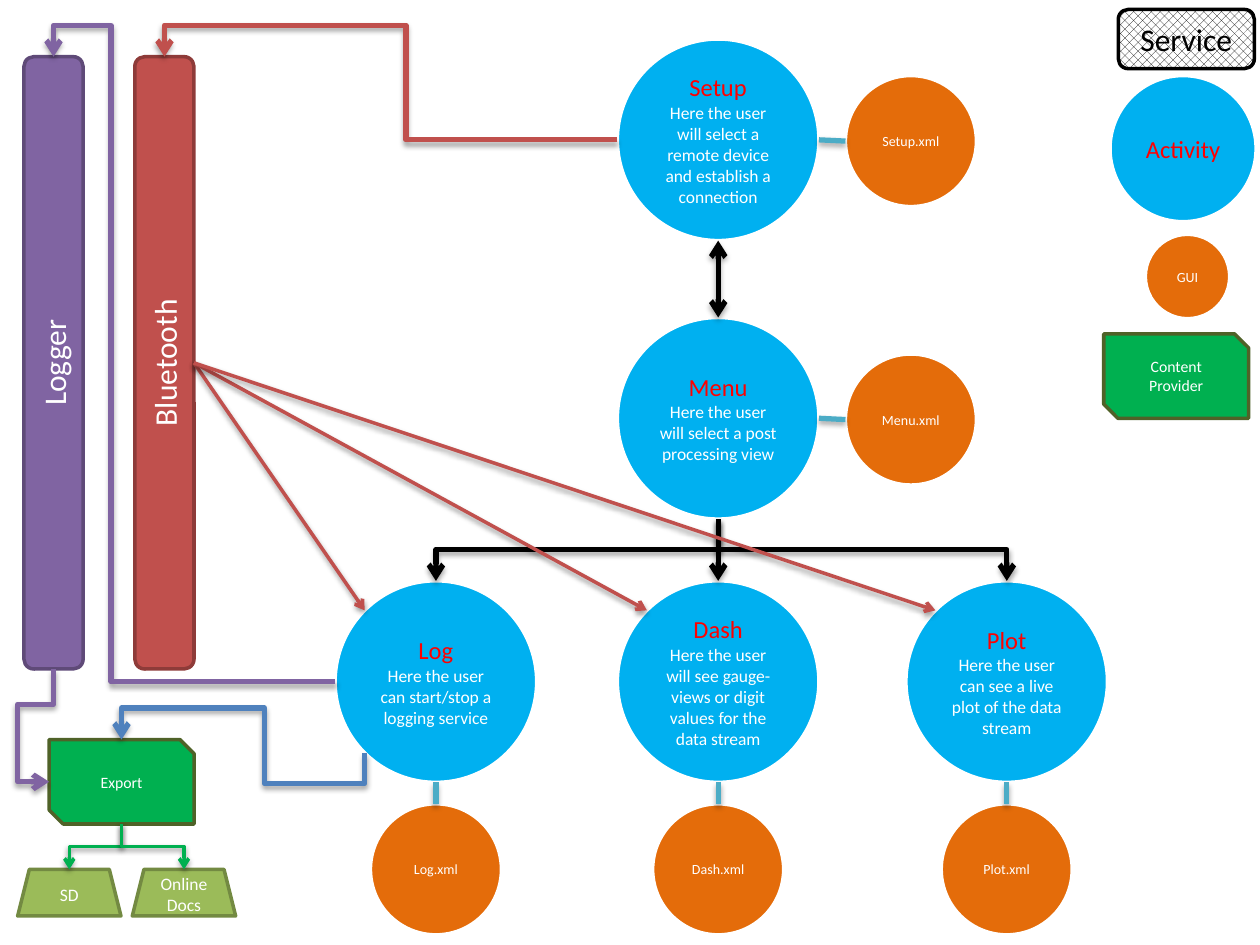
from lxml.etree import SubElement
from pptx import Presentation
from pptx.dml.color import RGBColor
from pptx.enum.dml import MSO_PATTERN
from pptx.enum.shapes import MSO_CONNECTOR as LINK, MSO_SHAPE as SHAPE
from pptx.enum.text import MSO_ANCHOR, PP_ALIGN
from pptx.oxml.ns import qn
from pptx.util import Inches, Pt

# Formats: shape kind, fill, outline, then (size, colour) of each paragraph
SMALL_WHITE, HEADING = (10, "FFFFFF"), (14, "FF0000")
STYLES = {
    "activity": (SHAPE.OVAL, "00B0F0", "FFFFFF", (HEADING, SMALL_WHITE)),
    "gui": (SHAPE.OVAL, "E46C0A", "FFFFFF", ((8, "FFFFFF"),)),
    "bluetooth": (SHAPE.ROUNDED_RECTANGLE, "C0504D", "8E3B39", ((18, "FFFFFF"),)),
    "logger": (SHAPE.ROUNDED_RECTANGLE, "8064A2", "5F4A78", ((18, "FFFFFF"),)),
    "service": (SHAPE.ROUNDED_RECTANGLE, None, "000000", ((18, "000000"),)),
    "provider": (SHAPE.SNIP_2_DIAG_RECTANGLE, "00B050", "4F6228", ((9, "FFFFFF"),)),
    "target": (SHAPE.TRAPEZOID, "9BBB59", "738A42", (SMALL_WHITE,)),
}

# Activities: name, left, top, description, side of the GUI circle
ACTIVITY_SIZE, GUI_SIZE = 1.6, 1.04
ACTIVITIES = [
    ("Setup", 4.9, 0.31, "Here the user will select a remote device and establish a connection", "right"),
    ("Menu", 4.9, 2.52, "Here the user will select a post processing view", "right"),
    ("Log", 2.66, 4.61, "Here the user can start/stop a logging service", "bottom"),
    ("Dash", 4.9, 4.61, "Here the user will see gauge-views or digit values for the data stream", "bottom"),
    ("Plot", 7.19, 4.61, "Here the user can see a live plot of the data stream", "bottom"),
]

# Other shapes, legend included: text, style, left, top, width, height
OTHERS = [
    ("Bluetooth", "bluetooth", 1.07, 0.45, 0.47, 4.86),
    ("Logger", "logger", 0.19, 0.45, 0.47, 4.86),
    ("Export", "provider", 0.39, 5.87, 1.15, 0.67),
    ("SD", "target", 0.14, 6.9, 0.82, 0.37),
    ("Online Docs", "target", 1.05, 6.9, 0.82, 0.37),
    ("Service", "service", 9.18, -0.23, 0.47, 1.08),
    ("Activity", "activity", 8.81, 0.6, 1.16, 1.16),
    ("GUI", "gui", 9.09, 1.86, 0.67, 0.67),
    ("Content Provider", "provider", 8.76, 2.65, 1.15, 0.67),
]

# Links: start, side, end, side, colour, width, arrow ends, lanes of the bends
BLACK, RED, PURPLE, BLUE, GREEN, TEAL = "000000", "C0504D", "8064A2", "4F81BD", "00B050", "4BACC6"
TAIL, BOTH = ("tailEnd",), ("headEnd", "tailEnd")
LINKS = [
    ("Menu", "bottom", "Dash", "top", BLACK, 3, TAIL, ()),
    ("Menu", "bottom", "Log", "top", BLACK, 3, TAIL, (4.36,)),
    ("Menu", "bottom", "Plot", "top", BLACK, 3, TAIL, (4.36,)),
    ("Setup", "left", "Bluetooth", "top", RED, 3, TAIL, (3.22, 0.2)),
    ("Log", "left", "Logger", "top", PURPLE, 3, TAIL, (0.88, 0.2)),
    ("Setup", "bottom", "Menu", "top", BLACK, 3, BOTH, ()),
    ("Logger", "bottom", "Export", "left", PURPLE, 3, TAIL, (5.59, 0.14)),
    ("Log", "bottom left", "Export", "top", BLUE, 3, TAIL, (6.22, 2.1, 5.62)),
    ("Export", "bottom", "SD", "top", GREEN, 2, TAIL, (6.72,)),
    ("Export", "bottom", "Online Docs", "top", GREEN, 2, TAIL, (6.72,)),
]
LINKS += [("Bluetooth", "right", name, "top left", RED, 2, TAIL, ()) for name in ("Log", "Dash", "Plot")]
LINKS += [(name, side, name + ".xml", {"right": "left", "bottom": "top"}[side], TEAL, 3, (), ())
          for name, _, _, _, side in ACTIVITIES]

# Connection sites: place as a share of the box, and order on each kind of shape
DIAGONAL = 0.1464
SITES = {"top": (0.5, 0), "left": (0, 0.5), "bottom": (0.5, 1), "right": (1, 0.5),
         "top left": (DIAGONAL, DIAGONAL), "bottom left": (DIAGONAL, 1 - DIAGONAL)}
SITE_ORDER = {
    SHAPE.OVAL: ["top", "top left", "left", "bottom left", "bottom", "bottom right", "right"],
    SHAPE.SNIP_2_DIAG_RECTANGLE: ["right", "bottom", "left", "top"],
}
PLAIN_ORDER = ["top", "left", "bottom", "right"]


def color(value):
    return RGBColor.from_string(value)


def add_node(slide, texts, style, left, top, width, height):
    kind, fill, outline, formats = STYLES[style]
    shape = slide.shapes.add_shape(kind, *map(Inches, (left, top, width, height)))
    shape.shadow.inherit = False
    if fill:
        shape.fill.solid()
        shape.fill.fore_color.rgb = color(fill)
    else:
        shape.fill.patterned()
        shape.fill.pattern = MSO_PATTERN.PERCENT_50
        shape.fill.fore_color.rgb, shape.fill.back_color.rgb = color("000000"), color("FFFFFF")
        shape.rotation = 90
    shape.line.color.rgb, shape.line.width = color(outline), Pt(2)
    frame = shape.text_frame
    frame.word_wrap, frame.vertical_anchor = True, MSO_ANCHOR.MIDDLE
    if kind == SHAPE.ROUNDED_RECTANGLE:
        frame._txBody.bodyPr.set("vert", "vert270")
    for index, (text, (size, ink)) in enumerate(zip(texts, formats)):
        paragraph = frame.add_paragraph() if index else frame.paragraphs[0]
        paragraph.alignment = PP_ALIGN.CENTER
        run = paragraph.add_run()
        run.text = text
        for name, value in {"name": "Calibri", "size": Pt(size)}.items():
            setattr(run.font, name, value)
        run.font.color.rgb = color(ink)
    return shape, kind, (left, top, width, height)


def site_point(node, side):
    left, top, width, height = node[2]
    across, down = SITES[side]
    return left + across * width, top + down * height


def add_elbow(slide, start, end, side, lanes):
    """Lanes are the bends' places in inches, on alternating axes."""
    delta = [end[0] - start[0], end[1] - start[1]]
    vertical = int(side != "left")
    width, height = abs(delta[vertical]), abs(delta[1 - vertical])
    left = (start[0] + end[0] - width) / 2
    top = (start[1] + end[1] - height) / 2
    connector = slide.shapes.add_connector(
        LINK.ELBOW, *map(Inches, (left, top, left + width, top + height)))
    properties = connector._element.spPr
    turn = (90 if delta[0] < 0 else 270) if vertical else 180
    properties.xfrm.set("rot", str(turn * 60000))
    if vertical and (delta[0] < 0) == (delta[1] < 0):
        properties.xfrm.set("flipH", "1")
    geometry = properties.find(qn("a:prstGeom"))
    geometry.set("prst", f"bentConnector{len(lanes) + 2}")
    guides = geometry.find(qn("a:avLst"))
    for index, lane in enumerate(lanes):
        axis = (vertical + index) % 2
        share = round((lane - start[axis]) / delta[axis] * 100000)
        SubElement(guides, qn("a:gd"), name=f"adj{index + 1}", fmla=f"val {share}")
    return connector


def add_link(slide, nodes, first, first_side, last, last_side, ink, width, arrows, lanes):
    ends = [(nodes[first], first_side), (nodes[last], last_side)]
    start, end = (site_point(*item) for item in ends)
    if lanes:
        connector = add_elbow(slide, start, end, first_side, lanes)
    else:
        connector = slide.shapes.add_connector(LINK.STRAIGHT, *map(Inches, start + end))
    # Attach both ends to their shapes
    anchors = connector._element.nvCxnSpPr.cNvCxnSpPr
    for tag, (node, side) in zip(("a:stCxn", "a:endCxn"), ends):
        order = SITE_ORDER.get(node[1], PLAIN_ORDER)
        SubElement(anchors, qn(tag), id=str(node[0].shape_id), idx=str(order.index(side)))
    # Line, arrowheads and soft shadow
    connector.line.color.rgb, connector.line.width = color(ink), Pt(width)
    properties = connector._element.spPr
    for arrow in arrows:
        SubElement(properties.find(qn("a:ln")), qn("a:" + arrow), type="arrow")
    distance, alpha = (1.8, 35) if width == 3 else (1.6, 38)
    shadow = SubElement(SubElement(properties, qn("a:effectLst")), qn("a:outerShdw"),
                        blurRad=str(Pt(3.1)), dist=str(Pt(distance)), dir="5400000", rotWithShape="0")
    shade = SubElement(shadow, qn("a:srgbClr"), val="000000")
    SubElement(shade, qn("a:alpha"), val=str(alpha * 1000))


def main():
    presentation = Presentation()
    presentation.slide_width, presentation.slide_height = Inches(10), Inches(7.5)
    slide = presentation.slides.add_slide(presentation.slide_layouts[6])
    nodes = {}
    # Activities, each with its GUI circle
    inset = (ACTIVITY_SIZE - GUI_SIZE) / 2
    for name, left, top, description, side in ACTIVITIES:
        nodes[name] = add_node(slide, (name, description), "activity",
                               left, top, ACTIVITY_SIZE, ACTIVITY_SIZE)
        across, down = (1.81, inset + 0.01) if side == "right" else (inset, 1.77)
        file_name = name + ".xml"
        nodes[file_name] = add_node(slide, (file_name,), "gui",
                                    left + across, top + down, GUI_SIZE, GUI_SIZE)
    # Services, export and legend
    for text, *rest in OTHERS:
        nodes[text] = add_node(slide, (text,), *rest)
    for link in LINKS:
        add_link(slide, nodes, *link)
    presentation.save("out.pptx")


if __name__ == "__main__":
    main()
